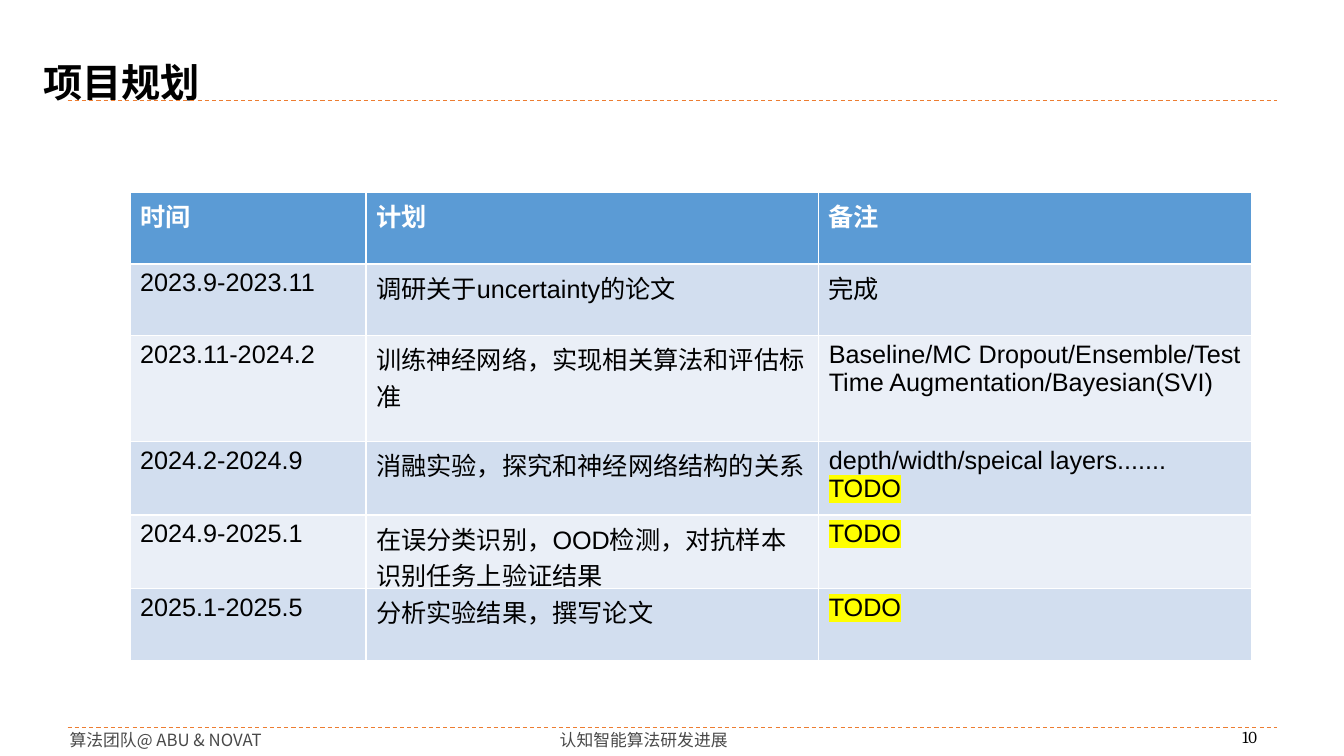
from lxml.etree import SubElement
from pptx import Presentation
from pptx.dml.color import RGBColor
from pptx.enum.dml import MSO_LINE
from pptx.enum.shapes import MSO_CONNECTOR
from pptx.enum.text import MSO_ANCHOR, MSO_AUTO_SIZE, PP_ALIGN
from pptx.oxml.ns import qn
from pptx.util import Pt

SCALE = 9144  # EMU per px, 100 px to the inch
CJK = "Noto Sans CJK SC"
TITLE = "项目规划"
TITLE_BOX = (33, 53, 176, 57)
RULE_TOPS = (100, 722)
RULE_SPAN = (67, 1267)
FOOTERS = [
    ("算法团队@ ABU & NOVAT", (69, 724, 201, 20), PP_ALIGN.LEFT, CJK, "494949"),
    ("认知智能算法研发进展", (333, 724, 611, 20), PP_ALIGN.CENTER, CJK, "494949"),
    ("10", (1216, 721, 47, 20), PP_ALIGN.CENTER, "Cambria", "000000"),
]
PLAN = [
    ("时间", "计划", "备注"),
    ("2023.9-2023.11", "调研关于uncertainty的论文", "完成"),
    ("2023.11-2024.2", "训练神经网络，实现相关算法和评估标准",
     "Baseline/MC Dropout/Ensemble/Test Time Augmentation/Bayesian(SVI)"),
    ("2024.2-2024.9", "消融实验，探究和神经网络结构的关系",
     "depth/width/speical layers.......\nTODO"),
    ("2024.9-2025.1", "在误分类识别，OOD检测，对抗样本识别任务上验证结果", "TODO"),
    ("2025.1-2025.5", "分析实验结果，撰写论文", "TODO"),
]
TABLE_LEFT, TABLE_TOP = 129, 191
COLUMN_WIDTHS = (234, 449, 429)
ROW_HEIGHTS = (71, 71, 105, 73, 73, 71)
HEADER_FILL = "5B9BD5"
BAND_FILLS = ("EAEFF7", "D2DEEF")


def px(length):
    return length * SCALE


def color(value):
    return RGBColor.from_string(value)


def write(frame, text, size=18, font="Arial", fill="000000", bold=False,
          align=PP_ALIGN.LEFT, marked=""):
    """Fill a frame, one paragraph a line; lines equal to marked are highlighted."""
    for index, line in enumerate(text.split("\n")):
        para = frame.add_paragraph() if index else frame.paragraphs[0]
        para.alignment = align
        span = para.add_run()
        span.text = line
        span.font.size = Pt(size)
        span.font.bold = bold
        span.font.color.rgb = color(fill)
        properties = span.font._element
        if line == marked:
            highlight = SubElement(properties, qn("a:highlight"))
            SubElement(highlight, qn("a:srgbClr"), val="FFFF00")
        span.font.name = font
        SubElement(properties, qn("a:ea"), typeface=CJK)


def add_title(page):
    title = page.shapes.title
    title.left, title.top, title.width, title.height = map(px, TITLE_BOX)
    frame = title.text_frame
    frame.word_wrap = False
    frame.auto_size = MSO_AUTO_SIZE.NONE
    frame.vertical_anchor = MSO_ANCHOR.TOP
    write(frame, TITLE, size=28, font=CJK, bold=True)


def add_rule(page, top):
    left, right = RULE_SPAN
    rule = page.shapes.add_connector(
        MSO_CONNECTOR.STRAIGHT, px(left), px(top), px(right), px(top))
    rule.line.color.rgb = color("ED7D31")
    rule.line.width = Pt(0.75)
    rule.line.dash_style = MSO_LINE.DASH
    SubElement(rule._element.spPr, qn("a:effectLst"))


def add_footer(page, text, place, align, font, fill):
    frame = page.shapes.add_textbox(*map(px, place)).text_frame
    frame.margin_left = frame.margin_right = 0
    frame.margin_top = frame.margin_bottom = 0
    frame.word_wrap = True
    write(frame, text, size=12, font=font, fill=fill, align=align)


def add_plan(page):
    table = page.shapes.add_table(
        len(PLAN), len(COLUMN_WIDTHS), px(TABLE_LEFT), px(TABLE_TOP),
        px(sum(COLUMN_WIDTHS)), px(sum(ROW_HEIGHTS))).table
    for column, width in zip(table.columns, COLUMN_WIDTHS):
        column.width = px(width)
    for number, (row, height, texts) in enumerate(zip(table.rows, ROW_HEIGHTS, PLAN)):
        row.height = px(height)
        header = number == 0
        for cell, text in zip(row.cells, texts):
            cell.fill.solid()
            cell.fill.fore_color.rgb = color(HEADER_FILL if header else BAND_FILLS[number % 2])
            write(cell.text_frame, text, bold=header, marked="TODO",
                  fill="FFFFFF" if header else "000000")


def main():
    deck = Presentation()
    deck.slide_width, deck.slide_height = px(1333), px(750)
    page = deck.slides.add_slide(deck.slide_layouts[5])
    for top in RULE_TOPS:
        add_rule(page, top)
    for footer in FOOTERS:
        add_footer(page, *footer)
    add_title(page)
    add_plan(page)
    deck.save("out.pptx")


if __name__ == "__main__":
    main()
